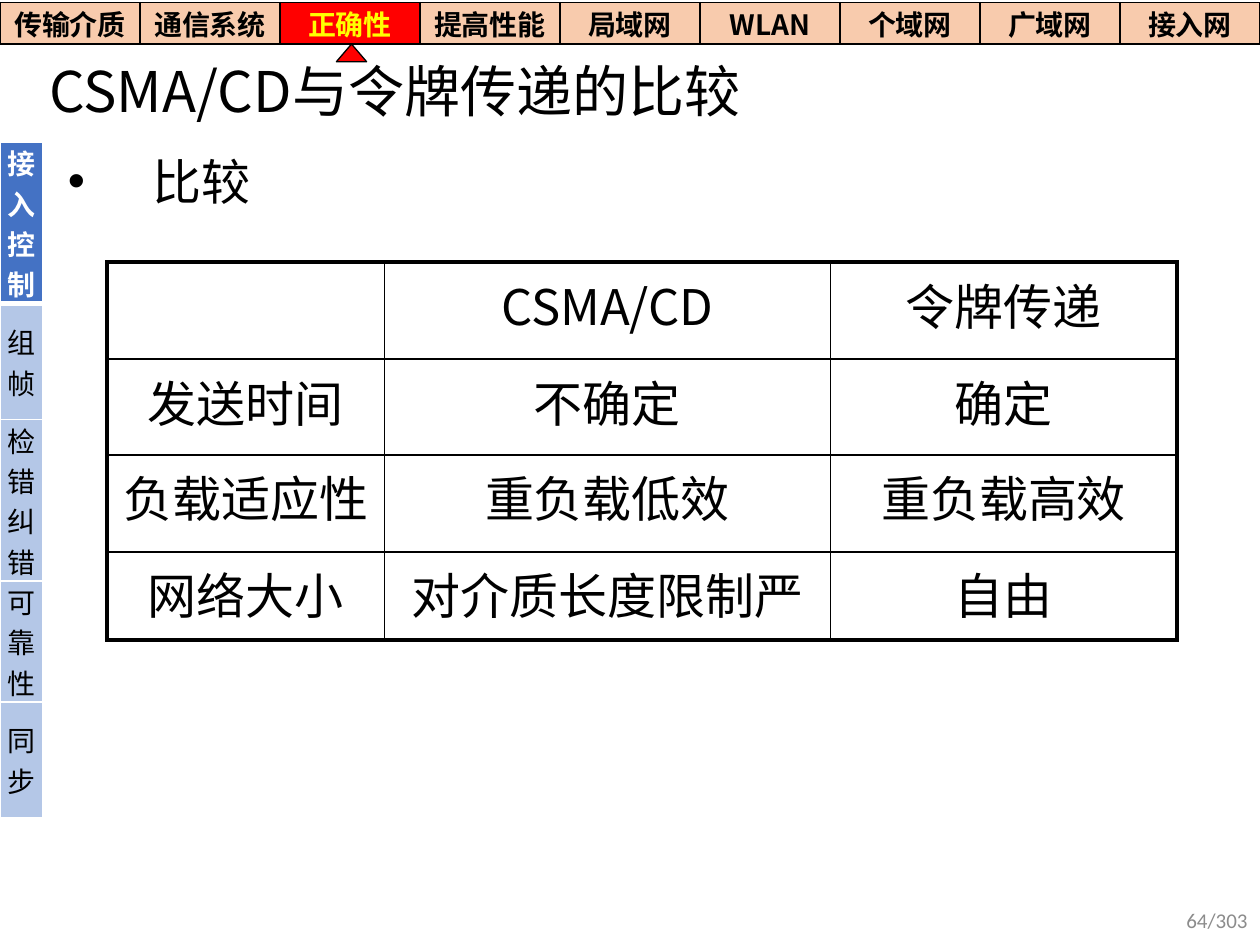
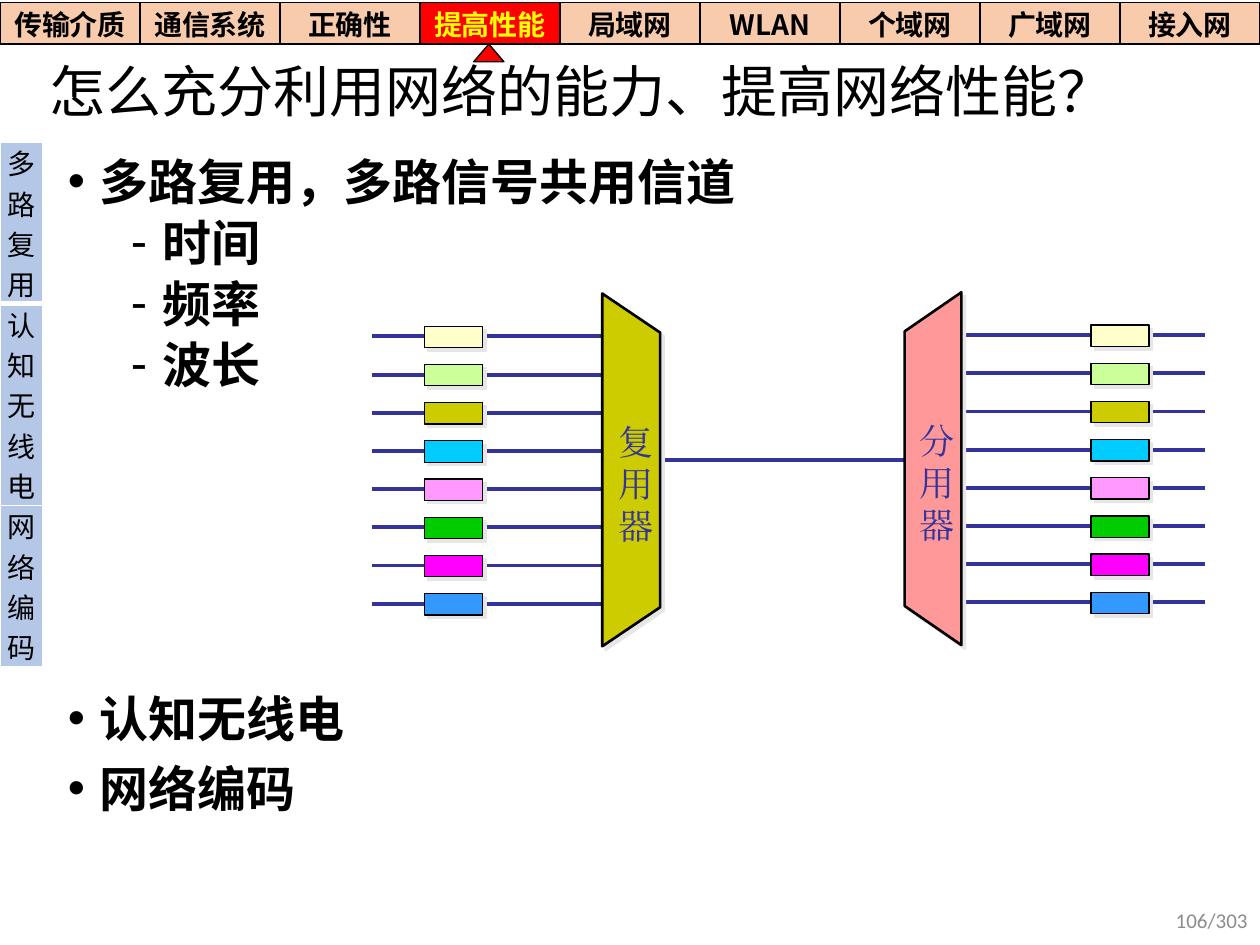
from lxml import etree
from pptx import Presentation
from pptx.dml.color import RGBColor
from pptx.enum.shapes import MSO_CONNECTOR as Connector, MSO_SHAPE as Preset
from pptx.enum.text import MSO_ANCHOR as Anchor, PP_ALIGN as Align
from pptx.oxml.ns import qn
from pptx.util import Inches, Pt

# ---- Colours and fonts ----
BLACK = RGBColor(0x00, 0x00, 0x00)
WHITE = RGBColor(0xFF, 0xFF, 0xFF)
RED = RGBColor(0xFF, 0x00, 0x00)
YELLOW = RGBColor(0xFF, 0xFF, 0x00)
PEACH = RGBColor(0xF8, 0xCB, 0xAD)
BLUE = RGBColor(0x44, 0x72, 0xC4)
PALE_BLUE = RGBColor(0xB4, 0xC7, 0xE7)
GREY = RGBColor(0x8C, 0x8C, 0x8C)
SHADOW = RGBColor(0xE7, 0xE6, 0xE6)
INDIGO = RGBColor(0x33, 0x33, 0x99)
OLIVE = RGBColor(0xCC, 0xCC, 0x00)
SALMON = RGBColor(0xFF, 0x99, 0x99)
CHANNEL_COLOURS = [
    RGBColor(0xFF, 0xFF, 0xCC), RGBColor(0xCC, 0xFF, 0x99), OLIVE,
    RGBColor(0x00, 0xCC, 0xFF), RGBColor(0xFF, 0x99, 0xFF),
    RGBColor(0x00, 0xCC, 0x00), RGBColor(0xFF, 0x00, 0xFF),
    RGBColor(0x33, 0x99, 0xFF),
]
SANS, SERIF, FOOTER_FONT = "Noto Sans CJK SC", "Times New Roman", "Calibri"

# ---- Content ----
CHAPTERS = ["传输介质", "通信系统", "正确性", "提高性能", "局域网",
            "WLAN", "个域网", "广域网", "接入网"]
PAGE_TOTAL = 303

COMPARISON_FRAME = {
    "title": "CSMA/CD与令牌传递的比较", "chapter": "正确性", "marker": 2.67,
    "sections": ["接入控制", "组帧", "检错纠错", "可靠性", "同步"],
    "section": "接入控制", "page": 64,
}
COMPARISON_ROWS = [
    ["", "CSMA/CD", "令牌传递"],
    ["发送时间", "不确定", "确定"],
    ["负载适应性", "重负载低效", "重负载高效"],
    ["网络大小", "对介质长度限制严", "自由"],
]
COMPARISON_WIDTHS = [2.2, 3.54, 2.75]
COMPARISON_HEIGHTS = [0.77, 0.76, 0.77, 0.7]
# Bullets: text, bullet character, left margin, hanging indent, space before
COMPARISON_BULLETS = [("比较", "•", 0.67, 0.67, 0)]

PERFORMANCE_FRAME = {
    "title": "怎么充分利用网络的能力、提高网络性能？", "chapter": "提高性能",
    "marker": 3.76, "sections": ["多路复用", "认知无线电", "网络编码"],
    "section": None, "page": 106,
}
PERFORMANCE_BULLETS = [
    ("多路复用，多路信号共用信道", "•", 0.25, 0.25, 0),
    ("时间", "-", 0.75, 0.25, 5),
    ("频率", "-", 0.75, 0.25, 5),
    ("波长", "-", 0.75, 0.25, 5),
    ("认知无线电", "•", 0.25, 0.25, 172),
    ("网络编码", "•", 0.25, 0.25, 10),
]
# Channel sides: line start, line end, first line height, block left
CHANNEL_SIDES = [(7.63, 9.56, 2.66, 8.66), (2.95, 4.87, 2.67, 3.37)]
CHANNEL_STEP = 0.303
# Devices: label, fill, wide edge, narrow edge, top, label left
DEVICES = [("复用器", OLIVE, 4.78, 5.24, 2.33, 4.81),
           ("分用器", SALMON, 7.63, 7.18, 2.32, 7.2)]


# ---- Text ----
def add_run(paragraph, text, size, colour, font=SANS, bold=False):
    run = paragraph.add_run()
    run.text = text
    run.font.size, run.font.bold, run.font.name = Pt(size), bold, font
    run.font.color.rgb = colour
    properties = run._r.get_or_add_rPr()
    east_asian = etree.Element(qn("a:ea"), typeface=font)
    properties.find(qn("a:latin")).addnext(east_asian)


def add_text_box(slide, left, top, width, height, wrap=True):
    box = slide.shapes.add_textbox(*map(Inches, (left, top, width, height)))
    box.text_frame.word_wrap = wrap
    return box.text_frame


def add_bullets(slide, bullets, bold=False):
    frame = add_text_box(slide, 0.44, 1.2, 9.31, 5.9)
    for index, (text, mark, margin, hang, before) in enumerate(bullets):
        paragraph = frame.add_paragraph() if index else frame.paragraphs[0]
        properties = paragraph._p.get_or_add_pPr()
        properties.set("marL", str(Inches(margin)))
        properties.set("indent", str(-Inches(hang)))
        etree.SubElement(properties, qn("a:buFont"), typeface="Arial")
        etree.SubElement(properties, qn("a:buChar"), char=mark)
        paragraph.line_spacing = Pt(30)
        if before:
            paragraph.space_before = Pt(before)
        add_run(paragraph, text, 28, BLACK, bold=bold)


# ---- Tables ----
def set_borders(cell, colour, left, right, top, bottom):
    properties = cell._tc.get_or_add_tcPr()
    sides = zip(("a:lnL", "a:lnR", "a:lnT", "a:lnB"), (left, right, top, bottom))
    for index, (tag, width) in enumerate(sides):
        line = etree.Element(qn(tag), w=str(Pt(width)))
        fill = etree.SubElement(line, qn("a:solidFill"))
        etree.SubElement(fill, qn("a:srgbClr"), val=str(colour))
        properties.insert(index, line)


def add_plain_table(slide, left, top, widths, heights):
    table = slide.shapes.add_table(
        len(heights), len(widths), Inches(left), Inches(top),
        Inches(sum(widths)), Inches(sum(heights))).table
    table.first_row = table.horz_banding = False
    for column, width in zip(table.columns, widths):
        column.width = Inches(width)
    for row, height in zip(table.rows, heights):
        row.height = Inches(height)
    return table


def fill_navigation_cell(cell, text, fill, colour, bold):
    cell.margin_left = cell.margin_right = 0
    cell.margin_top = cell.margin_bottom = 0
    cell.vertical_anchor = Anchor.MIDDLE
    cell.fill.solid()
    cell.fill.fore_color.rgb = fill
    paragraph = cell.text_frame.paragraphs[0]
    paragraph.alignment = Align.CENTER
    add_run(paragraph, text, 16, colour, bold=bold)


# ---- Shapes ----
def style_shape(shape, fill, line_width, shadow=False):
    shape.shadow.inherit = False
    shape.fill.solid()
    shape.fill.fore_color.rgb = fill
    shape.line.color.rgb = BLACK
    shape.line.width = Pt(line_width)
    if shadow:
        effects = shape._element.spPr.find(qn("a:effectLst"))
        outer = etree.SubElement(effects, qn("a:outerShdw"), dist=str(Pt(2.8)),
                                 dir="2700000", algn="ctr", rotWithShape="0")
        etree.SubElement(outer, qn("a:srgbClr"), val=str(SHADOW))


def add_preset(slide, preset, left, top, width, height, fill, shadow=False):
    shape = slide.shapes.add_shape(
        preset, *map(Inches, (left, top, width, height)))
    style_shape(shape, fill, 0.75, shadow)


def add_signal_line(slide, start, end, height):
    line = slide.shapes.add_connector(
        Connector.STRAIGHT, Inches(start), Inches(height), Inches(end), Inches(height))
    line.line.color.rgb = INDIGO
    line.line.width = Pt(2.25)
    etree.SubElement(line._element.spPr, qn("a:effectLst"))


# ---- Shared frame: title, side and top navigation, page number ----
def add_framed_slide(presentation, frame):
    slide = presentation.slides.add_slide(presentation.slide_layouts[5])
    title = slide.shapes.title
    title.left, title.top, title.width, title.height = map(
        Inches, (0.29, 0.38, 9.47, 0.74))
    title.text_frame.vertical_anchor = Anchor.MIDDLE
    paragraph = title.text_frame.paragraphs[0]
    paragraph.alignment, paragraph.line_spacing = Align.LEFT, 0.9
    add_run(paragraph, frame["title"], 32, BLACK)

    # Side navigation: one character per line
    sections = frame["sections"]
    heights = [max(0.92, 0.32 * len(section)) for section in sections]
    side = add_plain_table(slide, 0, 1.13, [0.34], heights)
    for index, section in enumerate(sections):
        current = section == frame["section"]
        cell = side.cell(index, 0)
        fill_navigation_cell(cell, section, BLUE if current else PALE_BLUE,
                             WHITE if current else BLACK, current)
        set_borders(cell, WHITE, 1, 1, 3 if index == 1 else 1, 3 if index == 0 else 1)

    # Top navigation and its marker
    count = len(CHAPTERS)
    band = add_plain_table(slide, 0, 0.02, [10 / count] * count, [0.33])
    for index, chapter in enumerate(CHAPTERS):
        current = chapter == frame["chapter"]
        cell = band.cell(0, index)
        fill_navigation_cell(cell, chapter, RED if current else PEACH,
                             YELLOW if current else BLACK, True)
        set_borders(cell, BLACK, 1, 1, 1, 1)
    add_preset(slide, Preset.FLOWCHART_EXTRACT, frame["marker"], 0.35, 0.24, 0.14, RED)

    # Page number
    footer = add_text_box(slide, 7.75, 7.1, 2.25, 0.4)
    footer.vertical_anchor = Anchor.MIDDLE
    footer.paragraphs[0].alignment = Align.RIGHT
    add_run(footer.paragraphs[0], f"{frame['page']}/{PAGE_TOTAL}", 12, GREY, FOOTER_FONT)
    return slide


# ---- Slides ----
def build_comparison(presentation):
    slide = add_framed_slide(presentation, COMPARISON_FRAME)
    add_bullets(slide, COMPARISON_BULLETS)
    table = add_plain_table(slide, 0.85, 2.08, COMPARISON_WIDTHS, COMPARISON_HEIGHTS)
    last_row, last_column = len(COMPARISON_HEIGHTS) - 1, len(COMPARISON_WIDTHS) - 1
    for row, texts in enumerate(COMPARISON_ROWS):
        for column, text in enumerate(texts):
            cell = table.cell(row, column)
            cell.fill.background()
            outer = (column == 0, column == last_column, row == 0, row == last_row)
            set_borders(cell, BLACK, *(2.25 if edge else 1 for edge in outer))
            if text:
                paragraph = cell.text_frame.paragraphs[0]
                paragraph.alignment = Align.CENTER
                add_run(paragraph, text, 28, BLACK)


def add_device(slide, fill, wide, narrow, top):
    points = [(wide, top + 2.8), (narrow, top + 2.49),
              (narrow, top + 0.31), (wide, top)]
    corners = [(Inches(x), Inches(y)) for x, y in points]
    builder = slide.shapes.build_freeform(*corners[0])
    builder.add_line_segments(corners[1:], close=True)
    style_shape(builder.convert_to_shape(), fill, 1.5, shadow=True)


def build_performance(presentation):
    slide = add_framed_slide(presentation, PERFORMANCE_FRAME)
    add_bullets(slide, PERFORMANCE_BULLETS, bold=True)

    # Signal lines lie behind the channel blocks and devices
    for start, end, first, _ in CHANNEL_SIDES:
        for index in range(len(CHANNEL_COLOURS)):
            add_signal_line(slide, start, end, first + index * CHANNEL_STEP)
    add_signal_line(slide, 5.25, 7.56, 3.65)
    for _, _, first, left in CHANNEL_SIDES:
        for index, colour in enumerate(CHANNEL_COLOURS):
            add_preset(slide, Preset.RECTANGLE, left,
                       first - 0.08 + index * CHANNEL_STEP, 0.46, 0.17, colour, True)

    # Multiplexer and demultiplexer, labelled one character per line
    for label, fill, wide, narrow, top, label_left in DEVICES:
        add_device(slide, fill, wide, narrow, top)
        frame = add_text_box(slide, label_left, top + 0.96, 0.4, 1.1, wrap=False)
        for index, character in enumerate(label):
            paragraph = frame.add_paragraph() if index else frame.paragraphs[0]
            paragraph.line_spacing = Pt(24)
            add_run(paragraph, character, 20, INDIGO, SERIF)


def main():
    presentation = Presentation()
    presentation.slide_width, presentation.slide_height = Inches(10), Inches(7.5)
    build_comparison(presentation)
    build_performance(presentation)
    presentation.save("out.pptx")


if __name__ == "__main__":
    main()
